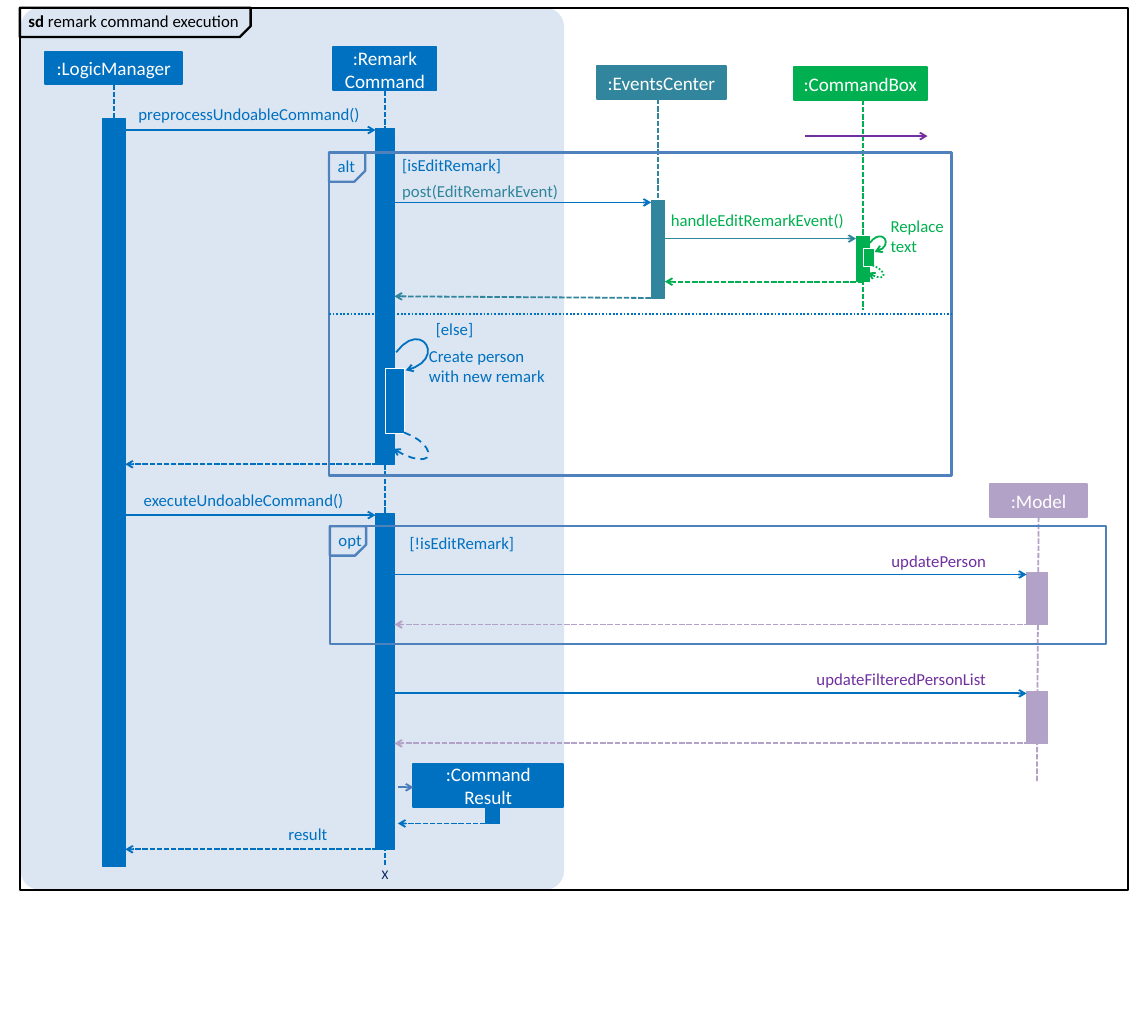
from dataclasses import dataclass, field
from typing import Optional, Union

from lxml import etree
from pptx import Presentation
from pptx.dml.color import RGBColor
from pptx.enum.dml import MSO_LINE
from pptx.enum.shapes import MSO_CONNECTOR, MSO_SHAPE
from pptx.enum.text import MSO_ANCHOR, MSO_AUTO_SIZE, PP_ALIGN
from pptx.oxml.ns import qn
from pptx.util import Inches, Pt

RECTANGLE, ROUNDED, SNIPPED = MSO_SHAPE.RECTANGLE, MSO_SHAPE.ROUNDED_RECTANGLE, MSO_SHAPE.SNIP_1_RECTANGLE
SOLID, DASHED, DOTTED, LONG_DASHED = MSO_LINE.SOLID, MSO_LINE.SQUARE_DOT, MSO_LINE.ROUND_DOT, MSO_LINE.DASH
LEFT, CENTER, RIGHT = PP_ALIGN.LEFT, PP_ALIGN.CENTER, PP_ALIGN.RIGHT
MIDDLE, FIT_TEXT, STRAIGHT = MSO_ANCHOR.MIDDLE, MSO_AUTO_SIZE.SHAPE_TO_FIT_TEXT, MSO_CONNECTOR.STRAIGHT
JOIN_TOLERANCE = Inches(0.02)
CURVE_STEPS = 12
Area = tuple[float, float, float, float]
Point = tuple[float, float]
Curve = tuple[Point, Point, Point, Point]
CALL_CURVE: Curve = ((0, 0), (0.3, -0.4), (0.6, 0.1), (0.11, 0.21))
RETURN_CURVE: Curve = ((0, 0), (0.4, 0.14), (0.4, 0.5), (-0.13, 0.19))


@dataclass(frozen=True)
class Theme:
    font: str = "Calibri"
    head_size: float = 16
    label_size: float = 14
    end_mark_size: float = 11
    logic: str = "0070C0"
    model: str = "B3A2C7"
    events: str = "31859C"
    command_box: str = "00B050"
    model_call: str = "7030A0"
    create_call: str = "4B7EBC"
    end_mark: str = "002060"
    fragment: str = "4F81BD"
    panel: str = "DCE6F2"
    black: str = "000000"
    white: str = "FFFFFF"
    bar_line: float = 0.75
    message_line: float = 1.5
    frame_line: float = 2


THEME = Theme()


@dataclass(frozen=True)
class Participant:
    name: str
    color: str
    axis: float
    bar_width: float
    head_width: float
    head_top: float
    lifeline_end: Optional[float] = None
    head_height: float = 0.38
    head_shift: float = 0


@dataclass(frozen=True)
class Bar:
    owner: Participant
    top: float
    height: float
    nested_width: Optional[float] = None


@dataclass(frozen=True)
class Activation:
    """A call from one participant to another, the bar it opens, and the return."""
    source: Participant
    target: Participant
    top: float
    height: float


@dataclass(frozen=True)
class Message:
    start: Point
    end: Point
    color: str
    dash: MSO_LINE = SOLID
    arrow: bool = True


@dataclass(frozen=True)
class Label:
    """Text whose left edge, centre or right edge lies at x."""
    text: str
    x: float
    top: float
    color: str = THEME.logic
    align: PP_ALIGN = LEFT
    width: float = 2.66
    size: float = THEME.label_size
    bold_start: str = ""


@dataclass(frozen=True)
class Frame:
    area: Area
    title: str
    tab_width: float = 0.42
    color: str = THEME.fragment
    title_color: str = THEME.logic
    bold_start: str = ""


@dataclass(frozen=True)
class Loop:
    start: Point
    curve: Curve
    scale: float
    color: str
    dash: MSO_LINE = SOLID


Element = Union[Participant, Bar, Activation, Message, Label, Frame, Loop]


@dataclass
class Diagram:
    slide: object
    rectangles: list = field(default_factory=list)
    connectors: list = field(default_factory=list)


def style_line(shape, color: str, weight: float, dash: MSO_LINE = SOLID, arrow: bool = False) -> None:
    shape.line.color.rgb = RGBColor.from_string(color)
    shape.line.width = Pt(weight)
    shape.line.dash_style = dash
    if arrow:
        etree.SubElement(shape.line._get_or_add_ln(), qn("a:tailEnd"), type="arrow")


def add_block(diagram: Diagram, kind: MSO_SHAPE, area: Area, fill: Optional[str], outline: str, weight: float):
    shape = diagram.slide.shapes.add_shape(kind, *map(Inches, area))
    shape.shadow.inherit = False
    if fill:
        shape.fill.solid()
        shape.fill.fore_color.rgb = RGBColor.from_string(fill)
    else:
        shape.fill.background()
    style_line(shape, outline, weight)
    if kind == RECTANGLE:
        diagram.rectangles.append(shape)
    return shape


def format_text(paragraph, color: str, size: float, align: PP_ALIGN) -> None:
    paragraph.alignment = align
    for run in paragraph.runs:
        run.font.name, run.font.size = THEME.font, Pt(size)
        run.font.color.rgb = RGBColor.from_string(color)


def draw_message(diagram: Diagram, message: Message) -> None:
    connector = diagram.slide.shapes.add_connector(STRAIGHT, *map(Inches, message.start + message.end))
    style_line(connector, message.color, THEME.message_line, message.dash, message.arrow)
    etree.SubElement(connector._element.spPr, qn("a:effectLst"))
    diagram.connectors.append(connector)


def draw_participant(diagram: Diagram, owner: Participant) -> None:
    left = owner.axis + owner.head_shift - owner.head_width / 2
    head = add_block(diagram, RECTANGLE, (left, owner.head_top, owner.head_width, owner.head_height),
                     owner.color, owner.color, THEME.message_line)
    head.text_frame.text = owner.name
    head.text_frame.word_wrap = True
    head.text_frame.vertical_anchor = MIDDLE
    format_text(head.text_frame.paragraphs[0], THEME.white, THEME.head_size, CENTER)
    if owner.lifeline_end:
        draw_message(diagram, Message((owner.axis, owner.head_top + owner.head_height),
                                      (owner.axis, owner.lifeline_end), owner.color, DASHED, arrow=False))


def draw_bar(diagram: Diagram, bar: Bar) -> None:
    owner = bar.owner
    width = bar.nested_width or owner.bar_width
    left = owner.axis + (0.01 if bar.nested_width else -width / 2)
    outline = THEME.white if bar.nested_width else owner.color
    add_block(diagram, RECTANGLE, (left, bar.top, width, bar.height), owner.color, outline, THEME.bar_line)


def draw_activation(diagram: Diagram, activation: Activation) -> None:
    source, target = activation.source, activation.target
    source_edge, target_edge = source.axis + source.bar_width / 2, target.axis - target.bar_width / 2
    call_y, return_y = activation.top + 0.02, activation.top + activation.height
    draw_bar(diagram, Bar(target, activation.top, activation.height))
    draw_message(diagram, Message((source_edge, call_y), (target_edge, call_y), source.color))
    draw_message(diagram, Message((target.axis, return_y), (source_edge, return_y), target.color, DASHED))


def draw_label(diagram: Diagram, label: Label) -> None:
    left = label.x - label.width * {LEFT: 0, CENTER: 0.5, RIGHT: 1}[label.align]
    box = diagram.slide.shapes.add_textbox(*map(Inches, (left, label.top, label.width, 0.24)))
    frame = box.text_frame
    frame.word_wrap = True
    frame.auto_size = FIT_TEXT
    frame.margin_left = frame.margin_right = frame.margin_top = frame.margin_bottom = 0
    paragraph = frame.paragraphs[0]
    if label.bold_start:
        bold_run = paragraph.add_run()
        bold_run.text, bold_run.font.bold = label.bold_start, True
    paragraph.add_run().text = label.text
    format_text(paragraph, label.color, label.size, label.align)


def draw_frame(diagram: Diagram, frame: Frame) -> None:
    left, top = frame.area[:2]
    add_block(diagram, RECTANGLE, frame.area, None, frame.color, THEME.frame_line)
    tab = add_block(diagram, SNIPPED, (left, top, frame.tab_width, 0.34), None, frame.color, THEME.frame_line)
    tab.adjustments[0] = 0.373
    tab.rotation = 180
    tab._element.spPr.find(qn("a:xfrm")).set("flipH", "1")
    draw_label(diagram, Label(frame.title, left + 0.1, top + 0.04, frame.title_color,
                              width=frame.tab_width - 0.1, bold_start=frame.bold_start))


def draw_loop(diagram: Diagram, loop: Loop) -> None:
    points = []
    for step in range(CURVE_STEPS + 1):
        t = step / CURVE_STEPS
        weights = ((1 - t) ** 3, 3 * t * (1 - t) ** 2, 3 * t * t * (1 - t), t ** 3)
        points.append([Inches(loop.start[axis] + loop.scale * sum(w * p[axis] for w, p in zip(weights, loop.curve)))
                       for axis in (0, 1)])
    builder = diagram.slide.shapes.build_freeform(*points[0])
    builder.add_line_segments(points[1:], close=False)
    shape = builder.convert_to_shape()
    shape.shadow.inherit = False
    shape.fill.background()
    style_line(shape, loop.color, THEME.message_line, loop.dash, arrow=True)


def join_ends(diagram: Diagram) -> None:
    """Join each connector end that lies at the middle of a rectangle's side."""
    for connector in diagram.connectors:
        ends = ((connector.begin_x, connector.begin_y, connector.begin_connect),
                (connector.end_x, connector.end_y, connector.end_connect))
        for x, y, connect in ends:
            for box in diagram.rectangles:
                right, bottom = box.left + box.width, box.top + box.height
                middle_x, middle_y = (box.left + right) // 2, (box.top + bottom) // 2
                sites = ((middle_x, box.top), (box.left, middle_y), (middle_x, bottom), (right, middle_y))
                for index, (site_x, site_y) in enumerate(sites):
                    if max(abs(site_x - x), abs(site_y - y)) <= JOIN_TOLERANCE:
                        connect(box, index)


LOGIC = Participant(":LogicManager", THEME.logic, 1.32, 0.27, 1.59, 0.6, 6.67)
REMARK = Participant(":Remark\vCommand", THEME.logic, 4.47, 0.22, 1.2, 0.55, 10.06, head_height=0.5)
EVENTS = Participant(":EventsCenter", THEME.events, 7.64, 0.16, 1.5, 0.77, 3.01, head_shift=0.04)
BOX = Participant(":CommandBox", THEME.command_box, 10.02, 0.16, 1.54, 0.78, 3.6, head_shift=-0.03)
MODEL = Participant(":Model", THEME.model, 12.04, 0.24, 1.13, 5.62, 9.08, head_shift=0.02)
RESULT = Participant(":Command Result", THEME.logic, 5.72, 0.17, 1.74, 8.87, head_height=0.5, head_shift=-0.05)

ELEMENTS: tuple[Element, ...] = (
    LOGIC, REMARK, EVENTS, BOX, MODEL, RESULT,
    Bar(LOGIC, 1.38, 8.68),
    *(Activation(LOGIC, REMARK, top, 3.9) for top in (1.49, 5.96)),
    *(Activation(REMARK, MODEL, top, 0.6) for top in (6.65, 8.03)),
    Activation(REMARK, EVENTS, 2.33, 1.13),
    Activation(EVENTS, BOX, 2.75, 0.52),
    Bar(RESULT, 9.37, 0.19),
    Message((4.62, 9.14), (4.8, 9.14), THEME.create_call),
    Message((RESULT.axis, 9.56), (4.62, 9.56), THEME.logic, DASHED),
    Message((9.35, 1.58), (10.77, 1.58), THEME.model_call),
    Frame((0.23, 0.09, 12.87, 10.24), " remark command execution", 2.68, THEME.black, THEME.black, "sd"),
    Frame((3.82, 1.77, 7.23, 3.75), "alt"),
    Frame((3.83, 6.11, 9.01, 1.37), "opt"),
    Message((3.82, 3.64), (11.05, 3.64), THEME.logic, DOTTED, arrow=False),
    Loop((4.6, 4.09), CALL_CURVE, 1, THEME.logic),
    Loop((10.1, 2.82), CALL_CURVE, 0.5, THEME.command_box),
    Bar(REMARK, 4.28, 0.75, 0.22),
    Bar(BOX, 2.88, 0.21, 0.12),
    Loop((4.69, 5.02), RETURN_CURVE, 1, THEME.logic, LONG_DASHED),
    Loop((10.13, 3.08), RETURN_CURVE, 0.45, THEME.command_box, DOTTED),
    Label("preprocessUndoableCommand()", 4.18, 1.21, align=RIGHT),
    Label("executeUndoableCommand()", 3.99, 5.69, align=RIGHT),
    Label("result", 3.8, 9.56, align=RIGHT, width=0.68),
    Label("[isEditRemark]", 5.82, 1.8, align=RIGHT, width=1.47),
    Label("[!isEditRemark]", 5.97, 6.19, align=RIGHT, width=1.47),
    Label("[else]", 5.06, 3.7, width=0.48),
    Label("Create person with new remark", 4.98, 4.01, width=1.39),
    Label("post(EditRemarkEvent)", 4.67, 2.1, THEME.events),
    Label("handleEditRemarkEvent()", 7.79, 2.43, THEME.command_box),
    Label("Replace text", 10.34, 2.5, THEME.command_box, width=0.68),
    Label("updatePerson", 11.45, 6.39, THEME.model_call, RIGHT, 1.56),
    Label("updateFilteredPersonList", 11.45, 7.76, THEME.model_call, RIGHT),
    Label("X", REMARK.axis, 10.06, THEME.end_mark, CENTER, 0.28, THEME.end_mark_size),
)
DRAWERS = {Participant: draw_participant, Bar: draw_bar, Activation: draw_activation,
           Message: draw_message, Label: draw_label, Frame: draw_frame, Loop: draw_loop}


def main() -> None:
    presentation = Presentation()
    presentation.slide_width, presentation.slide_height = Inches(13.33), Inches(11.83)
    diagram = Diagram(presentation.slides.add_slide(presentation.slide_layouts[6]))
    panel = add_block(diagram, ROUNDED, (0.24, 0.09, 6.31, 10.24), THEME.panel, THEME.panel, THEME.bar_line)
    panel.adjustments[0] = 0.035
    panel.line.fill.background()
    for element in ELEMENTS:
        DRAWERS[type(element)](diagram, element)
    join_ends(diagram)
    presentation.save("out.pptx")


if __name__ == "__main__":
    main()
